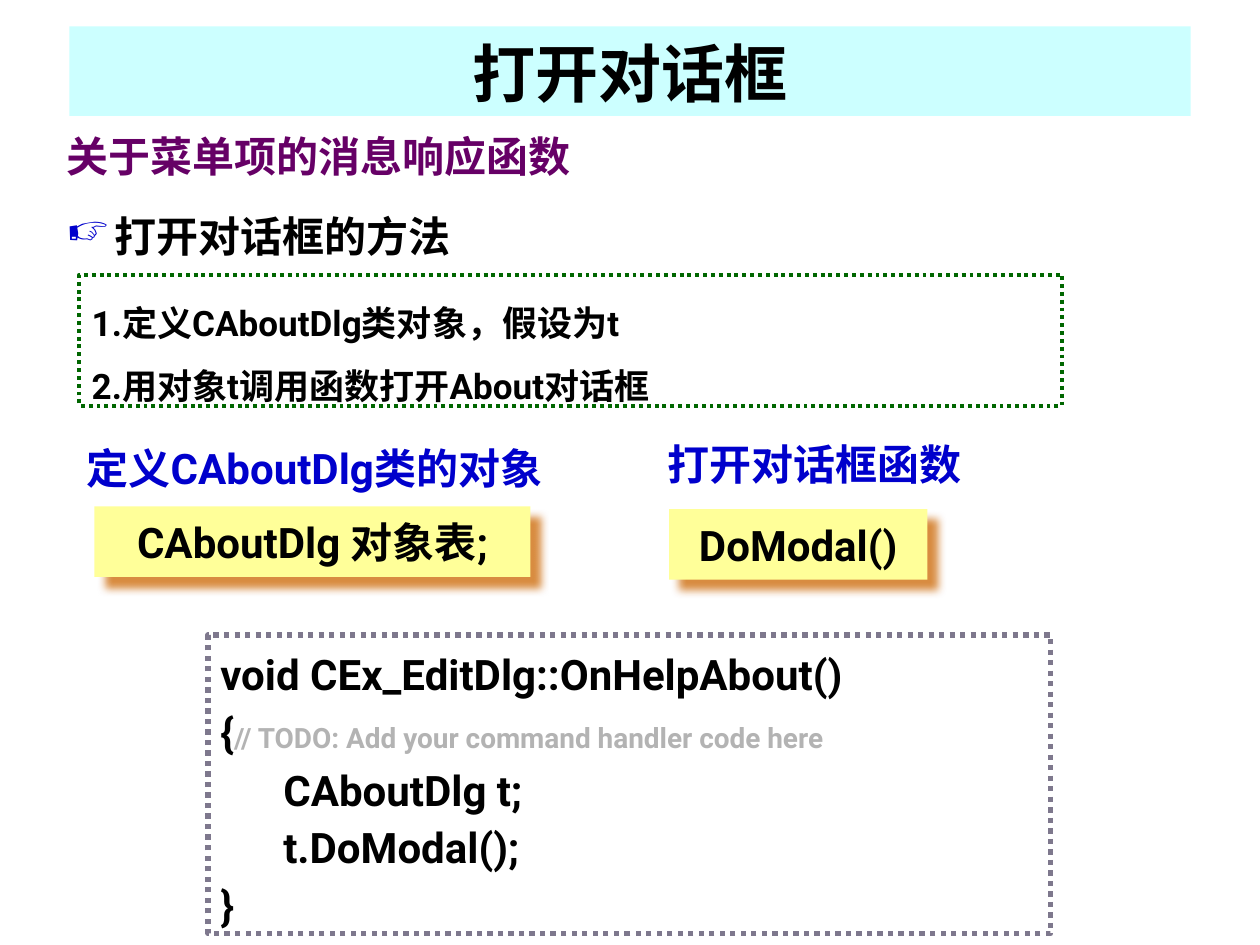
from dataclasses import dataclass
from typing import Optional

from lxml.etree import SubElement
from pptx import Presentation
from pptx.dml.color import RGBColor
from pptx.enum.dml import MSO_LINE
from pptx.enum.shapes import MSO_SHAPE
from pptx.enum.text import MSO_ANCHOR, PP_ALIGN
from pptx.oxml.ns import qn
from pptx.util import Inches, Pt

LATIN_FONT = "Roboto"
CHINESE_FONT = "Noto Sans CJK SC"
BLACK = "000000"
BLUE = "0000CC"


@dataclass
class Span:
    text: str
    size: float
    color: str


@dataclass
class Line:
    spans: list[Span]
    spacing: float | Pt | None = None
    bullet: Optional[str] = None


@dataclass
class Panel:
    left: float
    top: float
    width: float
    height: float
    lines: list[Line]
    fill: Optional[str] = None
    border: Optional[str] = None
    border_width: float = 0
    shadow: Optional[str] = None
    centered: bool = False
    anchor: MSO_ANCHOR = MSO_ANCHOR.TOP
    margins: tuple[float, float] = (0.1, 0.05)


def rgb(color: str) -> RGBColor:
    return RGBColor.from_string(color)


def line(text: str, size: float = 24, color: str = BLACK, spacing=None, bullet=None) -> Line:
    return Line([Span(text, size, color)], spacing, bullet)


def add_bullet(para, symbol: str) -> None:
    properties = para._p.get_or_add_pPr()
    properties.set("marL", str(Inches(0.38)))
    properties.set("indent", str(Inches(-0.38)))
    color = SubElement(properties, qn("a:buClr"))
    SubElement(color, qn("a:srgbClr"), val=BLUE)
    SubElement(properties, qn("a:buChar"), char=symbol)


def set_font(font, span: Span) -> None:
    font.size = Pt(span.size)
    font.bold = True
    font.color.rgb = rgb(span.color)
    font.name = LATIN_FONT
    SubElement(font._element, qn("a:ea"), typeface=CHINESE_FONT)


def write_line(para, content: Line, centered: bool) -> None:
    para.alignment = PP_ALIGN.CENTER if centered else PP_ALIGN.LEFT
    if content.spacing:
        para.line_spacing = content.spacing
    if content.bullet:
        add_bullet(para, content.bullet)
    uniform = len(content.spans) == 1
    if uniform:
        set_font(para.font, content.spans[0])
    for span in content.spans:
        run = para.add_run()
        run.text = span.text
        if not uniform:
            set_font(run.font, span)


def add_shadow(shape, color: str) -> None:
    effects = shape._element.spPr.find(qn("a:effectLst"))
    shadow = SubElement(effects, qn("a:outerShdw"), blurRad=str(Pt(5)),
                        dist=str(Pt(8.5)), dir=str(45 * 60000), algn="ctr", rotWithShape="0")
    tone = SubElement(shadow, qn("a:srgbClr"), val=color)
    SubElement(tone, qn("a:alpha"), val="75000")


def add_panel(page, panel: Panel) -> None:
    place = [Inches(v) for v in (panel.left, panel.top, panel.width, panel.height)]
    if panel.fill or panel.border:
        box = page.shapes.add_shape(MSO_SHAPE.RECTANGLE, *place)
        box.shadow.inherit = False
        if panel.fill:
            box.fill.solid()
            box.fill.fore_color.rgb = rgb(panel.fill)
        else:
            box.fill.background()
        if panel.border:
            box.line.color.rgb = rgb(panel.border)
            box.line.width = Pt(panel.border_width)
            box.line.dash_style = MSO_LINE.ROUND_DOT
        else:
            box.line.fill.background()
        if panel.shadow:
            add_shadow(box, panel.shadow)
    else:
        box = page.shapes.add_textbox(*place)
    frame = box.text_frame
    frame.word_wrap = True
    frame.vertical_anchor = panel.anchor
    side, end = panel.margins
    frame.margin_left = frame.margin_right = Inches(side)
    frame.margin_top = frame.margin_bottom = Inches(end)
    for index, content in enumerate(panel.lines):
        para = frame.add_paragraph() if index else frame.paragraphs[0]
        write_line(para, content, panel.centered)


def code_label(left: float, top: float, width: float, text: str) -> Panel:
    return Panel(left, top, width, 0.56, [line(text)], fill="FFFF99", shadow="CC6600",
                 centered=True, anchor=MSO_ANCHOR.MIDDLE, margins=(0.02, 0.01))


CODE_SPACING = Pt(33)
PANELS = [
    Panel(0.43, 1.42, 4.33, 0.63, [line("打开对话框的方法", spacing=1.5, bullet="☞")]),
    Panel(0.59, 3.26, 4.96, 0.63, [line("定义CAboutDlg类的对象", color=BLUE, spacing=1.5)]),
    code_label(0.75, 4.02, 3.46, "CAboutDlg 对象表;"),
    Panel(5.2, 3.23, 4.8, 0.63, [line("打开对话框函数", color=BLUE, spacing=1.5)]),
    code_label(5.31, 4.04, 2.05, "DoModal()"),
    Panel(1.65, 5.04, 6.69, 2.37, [
        line("void CEx_EditDlg::OnHelpAbout()", spacing=CODE_SPACING),
        Line([Span("{", 24, BLACK),
              Span("// TODO: Add your command handler code here", 16, "B3B3B3")], CODE_SPACING),
        line("\tCAboutDlg t;", spacing=CODE_SPACING),
        line("\tt.DoModal();", spacing=CODE_SPACING),
        line("}", spacing=CODE_SPACING),
    ], fill="FFFFFF", border="7E788D", border_width=3),
    Panel(0.63, 2.18, 7.8, 1.04, [
        line("1.定义CAboutDlg类对象，假设为t", 20, spacing=1.5),
        line("2.用对象t调用函数打开About对话框", 20, spacing=1.5),
    ], border="006600", border_width=2.25),
    Panel(0.43, 0.99, 4.72, 0.5, [line("关于菜单项的消息响应函数", color="660066")]),
    Panel(0.55, 0.21, 8.9, 0.71, [line("打开对话框", 36)], fill="CCFFFF",
          centered=True, anchor=MSO_ANCHOR.BOTTOM),
]


def main() -> None:
    deck = Presentation()
    deck.slide_width, deck.slide_height = Inches(10), Inches(7.5)
    page = deck.slides.add_slide(deck.slide_layouts[6])
    for panel in PANELS:
        add_panel(page, panel)
    deck.save("out.pptx")


if __name__ == "__main__":
    main()
